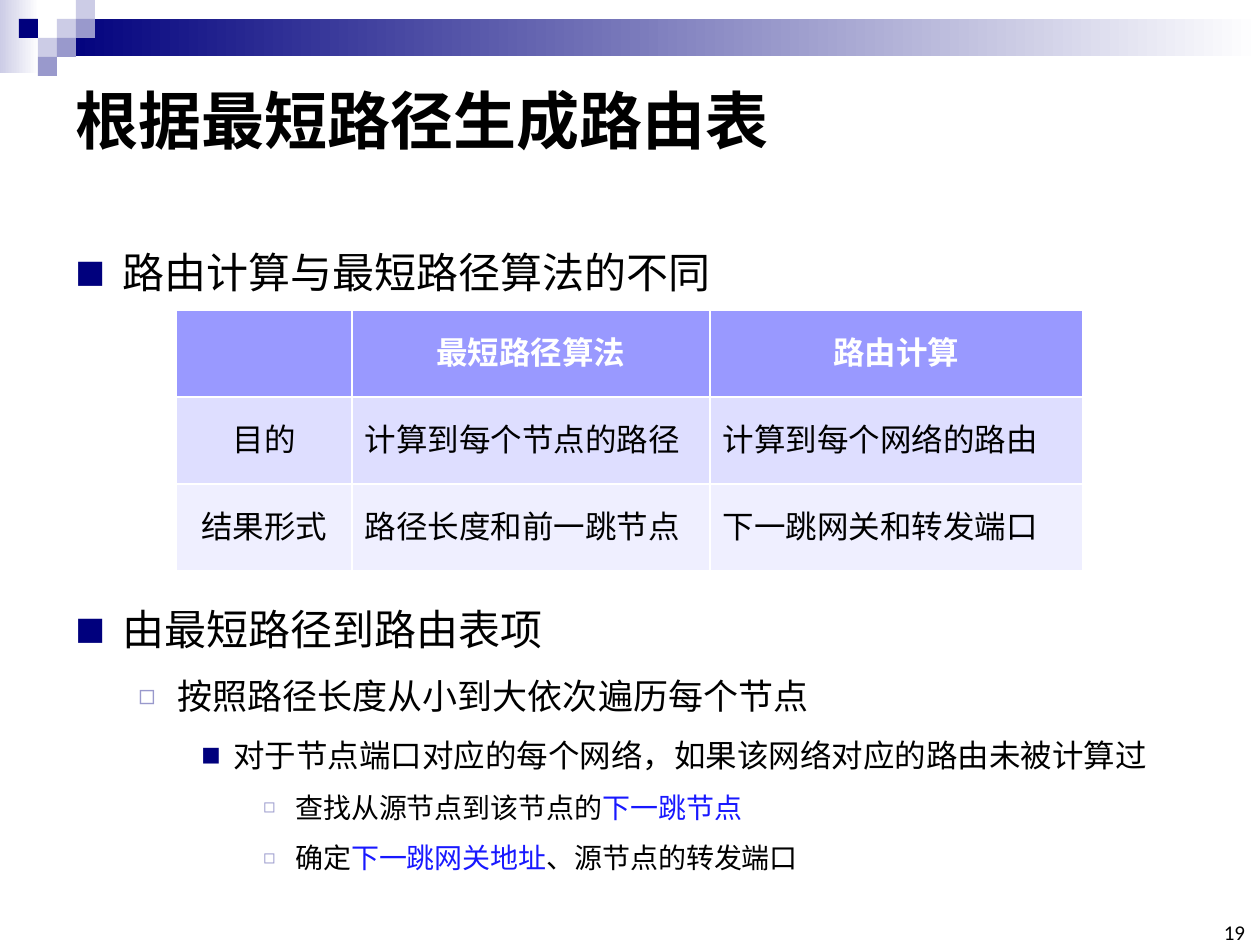
import pptx
import pptx.util
import pptx.dml.color
import pptx.enum.shapes
import pptx.enum.text
import pptx.oxml.ns
from dataclasses import dataclass
from lxml import etree

ALIGN = pptx.enum.text.PP_ALIGN
ANCHOR = pptx.enum.text.MSO_ANCHOR


@dataclass(frozen=True)
class Theme:
    font: str = "Calibri"
    ink: str = "000000"
    white: str = "FFFFFF"
    navy: str = "00007D"
    lilac: str = "9999CC"
    mist: str = "CCCCE6"
    accent: str = "1818FF"
    header: str = "9999FF"
    row_fills: tuple = ("DEDEFF", "EFEFFF")
    title: int = 36
    levels: tuple = (24, 20, 18, 16)
    cell: int = 18
    number: int = 12


def px(length):
    return round(length * 914400 / 126)


def rgb(color):
    return pptx.dml.color.RGBColor.from_string(color)


def apply(target, values):
    for name, value in values.items():
        setattr(target, name, value)


class SlideBuilder:
    def __init__(self, slide, theme):
        self.slide = slide
        self.theme = theme
        self.bullets = (
            (47, 47, "■", theme.navy, 75),
            (102, 39, "◻", theme.lilac, 80),
            (158, 32, "■", theme.navy, 65),
            (220, 32, "◻", theme.lilac, 70),
        )

    def block(self, box, *colors):
        rect = self.slide.shapes.add_shape(
            pptx.enum.shapes.MSO_SHAPE.RECTANGLE, *map(px, box))
        rect.shadow.inherit = False
        rect.line.fill.background()
        if len(colors) == 1:
            rect.fill.solid()
            rect.fill.fore_color.rgb = rgb(colors[0])
            return
        rect.fill.gradient()
        rect.fill.gradient_angle = 0
        for stop, color, position in zip(rect.fill.gradient_stops, colors, (0, 1)):
            stop.color.rgb = rgb(color)
            stop.position = position

    def run(self, paragraph, words, size, color=None, bold=False):
        run = paragraph.add_run()
        run.text = words
        apply(run.font, {"name": self.theme.font, "size": pptx.util.Pt(size), "bold": bold})
        run.font.color.rgb = rgb(color or self.theme.ink)
        east_asian = etree.SubElement(run.font._element, pptx.oxml.ns.qn("a:ea"))
        east_asian.set("typeface", self.theme.font)

    def frame(self, box, **values):
        frame = self.slide.shapes.add_textbox(*map(px, box)).text_frame
        apply(frame, {"word_wrap": True, **values})
        return frame

    def label(self, box, words, size, bold=False, align=ALIGN.LEFT, **values):
        paragraph = self.frame(box, **values).paragraphs[0]
        paragraph.alignment = align
        self.run(paragraph, words, size, bold=bold)

    def outline(self, box, items):
        frame = self.frame(box)
        for index, (level, parts) in enumerate(items):
            paragraph = frame.add_paragraph() if index else frame.paragraphs[0]
            apply(paragraph, {"level": level, "line_spacing": 1.5})
            self.bullet(paragraph, level)
            for words, color in parts:
                self.run(paragraph, words, self.theme.levels[level], color)

    def bullet(self, paragraph, level):
        margin, hang, mark, color, percent = self.bullets[level]
        properties = paragraph._p.get_or_add_pPr()
        properties.set("marL", str(px(margin)))
        properties.set("indent", str(-px(hang)))
        qn = pptx.oxml.ns.qn
        tint = etree.SubElement(properties, qn("a:buClr"))
        etree.SubElement(tint, qn("a:srgbClr")).set("val", color)
        etree.SubElement(properties, qn("a:buSzPct")).set("val", str(percent * 1000))
        etree.SubElement(properties, qn("a:buFont")).set("typeface", self.theme.font)
        etree.SubElement(properties, qn("a:buChar")).set("char", mark)

    def table(self, left, top, widths, row_height, rows):
        box = (left, top, sum(widths), row_height * len(rows))
        table = self.slide.shapes.add_table(
            len(rows), len(widths), *map(px, box)).table
        for column, width in zip(table.columns, widths):
            column.width = px(width)
        fills = (self.theme.header, *self.theme.row_fills)
        for r, (row, fill) in enumerate(zip(rows, fills)):
            table.rows[r].height = px(row_height)
            for c, words in enumerate(row):
                cell = table.cell(r, c)
                cell.vertical_anchor = ANCHOR.MIDDLE
                cell.fill.solid()
                cell.fill.fore_color.rgb = rgb(fill)
                if not words:
                    continue
                is_header = r == 0
                paragraph = cell.text_frame.paragraphs[0]
                paragraph.alignment = ALIGN.CENTER if is_header or c == 0 else ALIGN.LEFT
                color = self.theme.white if is_header else self.theme.ink
                self.run(paragraph, words, self.theme.cell, color, is_header)


def main():
    deck = pptx.Presentation()
    apply(deck, {"slide_width": px(1260), "slide_height": px(945)})
    theme = Theme()
    page = SlideBuilder(deck.slides.add_slide(deck.slide_layouts[6]), theme)

    page.block((0, 0, 39, 73), theme.mist, theme.white)
    page.block((57, 19, 1203, 37), theme.navy, theme.white)
    unit = 19
    mosaic = (
        (3, 1, theme.mist), (4, 0, theme.mist), (4, 1, theme.lilac),
        (2, 2, theme.mist), (1, 1, theme.navy), (3, 2, theme.lilac),
        (2, 3, theme.lilac),
    )
    for column, row, color in mosaic:
        page.block((column * unit, row * unit, unit, unit), color)

    page.label((63, 63, 1134, 112), "根据最短路径生成路由表", theme.title,
               bold=True, vertical_anchor=ANCHOR.MIDDLE)
    page.outline((63, 215, 1134, 100), [(0, [("路由计算与最短路径算法的不同", theme.ink)])])
    page.table(176, 310, (176, 358, 373), 87, (
        ("", "最短路径算法", "路由计算"),
        ("目的", "计算到每个节点的路径", "计算到每个网络的路由"),
        ("结果形式", "路径长度和前一跳节点", "下一跳网关和转发端口"),
    ))
    page.outline((63, 572, 1134, 324), [
        (0, [("由最短路径到路由表项", theme.ink)]),
        (1, [("按照路径长度从小到大依次遍历每个节点", theme.ink)]),
        (2, [("对于节点端口对应的每个网络，如果该网络对应的路由未被计算过", theme.ink)]),
        (3, [("查找从源节点到该节点的", theme.ink), ("下一跳节点", theme.accent)]),
        (3, [("确定", theme.ink), ("下一跳网关地址", theme.accent),
             ("、源节点的转发端口", theme.ink)]),
    ])
    flush = dict.fromkeys(("margin_left", "margin_top", "margin_right", "margin_bottom"), 0)
    page.label((1216, 924, 29, 21), "19", theme.number, align=ALIGN.RIGHT,
               vertical_anchor=ANCHOR.BOTTOM, **flush)
    deck.save("out.pptx")


if __name__ == "__main__":
    main()
